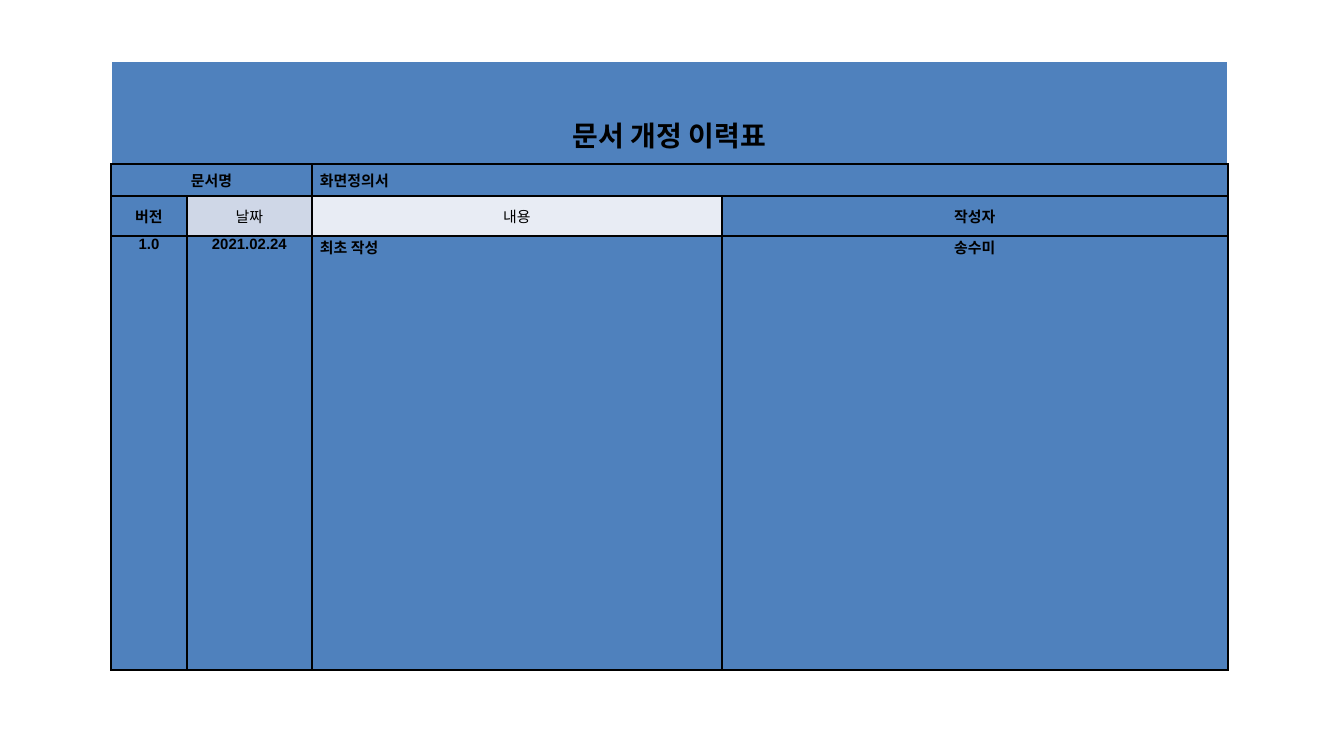
from lxml import etree
from pptx import Presentation
from pptx.dml.color import RGBColor
from pptx.enum import text
from pptx.oxml.ns import qn
from pptx.util import Pt

PX = 6804  # EMU in one px
COLORS = {"blue": "4F81BD", "band": "CFD7E7", "light": "E8ECF4",
          "black": "000000", "white": "FFFFFF"}
LATIN, KOREAN = "Arial", "Noto Sans CJK KR"
CENTER, JUSTIFY = text.PP_ALIGN.CENTER, text.PP_ALIGN.JUSTIFY
MIDDLE, TOP = text.MSO_ANCHOR.MIDDLE, text.MSO_ANCHOR.TOP

COLUMNS = [76, 125, 410, 506]
ROWS = [103, 32, 40, 434]
TITLE_DROP = 44  # top inset that lowers the title within its row

# row, column, columns spanned, wording, fill, alignment, bold, font
CELLS = [
    (0, 0, 4, "문서 개정 이력표", "blue", CENTER, True, LATIN),
    (1, 0, 2, "문서명", "blue", CENTER, True, LATIN),
    (1, 2, 2, "화면정의서", "blue", JUSTIFY, True, KOREAN),
    (2, 0, 1, "버전", "blue", CENTER, True, LATIN),
    (2, 1, 1, "날짜", "band", CENTER, False, LATIN),
    (2, 2, 1, "내용", "light", CENTER, False, LATIN),
    (2, 3, 1, "작성자", "blue", CENTER, True, LATIN),
    (3, 0, 1, "1.0", "blue", CENTER, True, LATIN),
    (3, 1, 1, "2021.02.24", "blue", CENTER, True, LATIN),
    (3, 2, 1, "최초 작성", "blue", JUSTIFY, True, LATIN),
    (3, 3, 1, "송수미", "blue", CENTER, True, KOREAN),
]


def set_borders(cell, is_title):
    """Draw the four sides; the title row is black only below."""
    properties = cell._tc.get_or_add_tcPr()
    for index, side in enumerate(("lnL", "lnR", "lnT", "lnB")):
        color = "white" if is_title and side != "lnB" else "black"
        line = etree.Element(qn(f"a:{side}"), w=str(Pt(1)))
        fill = etree.SubElement(line, qn("a:solidFill"))
        etree.SubElement(fill, qn("a:srgbClr"), val=COLORS[color])
        properties.insert(index, line)


def write_cell(cell, wording, alignment, size, bold, font):
    paragraph = cell.text_frame.paragraphs[0]
    paragraph.alignment = alignment
    run = paragraph.add_run()
    run.text = wording
    run.font.name = font
    run.font.size = Pt(size)
    run.font.bold = bold
    run.font.color.rgb = RGBColor.from_string(COLORS["black"])


def add_history_table(slide, left, top):
    """Title row, document name, column heads and revisions."""
    frame = slide.shapes.add_table(len(ROWS), len(COLUMNS), left * PX, top * PX,
                                   sum(COLUMNS) * PX, sum(ROWS) * PX)
    table = frame.table
    for column, width in zip(table.columns, COLUMNS):
        column.width = width * PX
    for row, height in zip(table.rows, ROWS):
        row.height = height * PX

    for row, column, span, wording, fill, alignment, bold, font in CELLS:
        is_title = row == 0
        cell = table.cell(row, column)
        if span > 1:
            cell.merge(table.cell(row, column + span - 1))
        # Fill and borders cover every cell of the span
        for part in range(column, column + span):
            covered = table.cell(row, part)
            covered.fill.solid()
            covered.fill.fore_color.rgb = RGBColor.from_string(COLORS[fill])
            set_borders(covered, is_title)
        cell.margin_left = cell.margin_right = 8 * PX
        cell.margin_top = TITLE_DROP * PX if is_title else 0
        cell.margin_bottom = 0
        cell.vertical_anchor = TOP if row == len(ROWS) - 1 else MIDDLE
        write_cell(cell, wording, alignment, 15 if is_title else 8, bold, font)


def main():
    presentation = Presentation()
    presentation.slide_width = 1344 * PX
    presentation.slide_height = 756 * PX
    slide = presentation.slides.add_slide(presentation.slide_layouts[6])
    add_history_table(slide, 111, 61)
    presentation.save("out.pptx")


if __name__ == "__main__":
    main()
